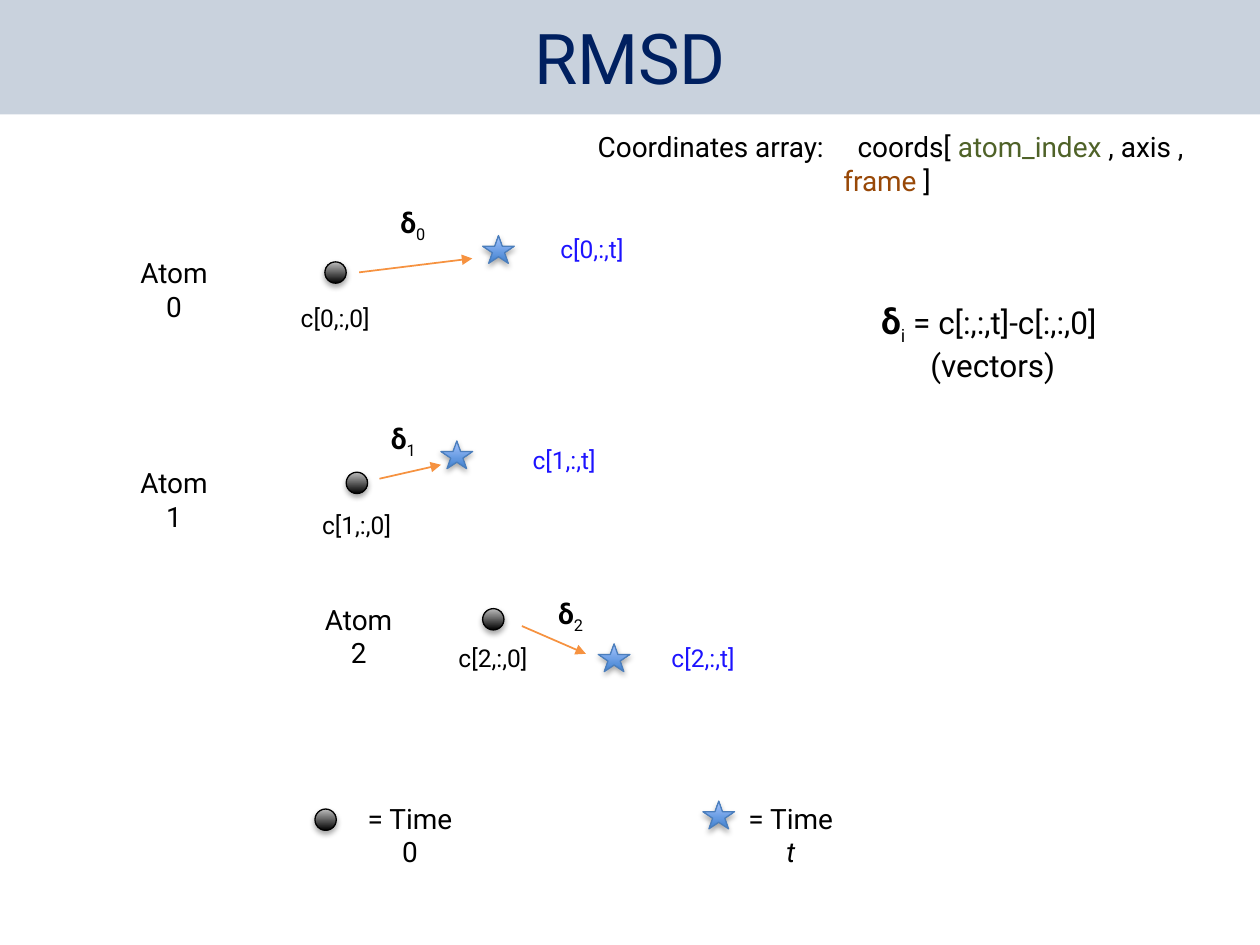
from dataclasses import dataclass
from typing import NamedTuple

from pptx import Presentation
from pptx import util as u
from pptx.dml.color import RGBColor
from pptx.enum import shapes, text
from pptx.oxml import parse_xml
from pptx.oxml.ns import nsdecls, qn

BLACK, BLUE, NAVY, ORANGE = "000000", "1D13FF", "002060", "F69240"
LABEL_HEIGHT = 0.94
SMALL_HEIGHT = 0.86


class Point(NamedTuple):
    x: float
    y: float


class Marker(NamedTuple):
    preset: shapes.MSO_SHAPE
    width: float
    height: float
    bottom: str
    top: str
    line: str


class Span(NamedTuple):
    words: str
    size: float = 16
    color: str = BLACK
    bold: bool = False
    italic: bool = False
    subscript: bool = False


@dataclass
class Atom:
    """Positions in centimetres of everything drawn for one atom."""
    name: Point
    ball: Point
    start_label_top: float
    star: Point
    end_label: Point
    arrow_start: Point
    arrow_end: Point
    delta: Point


BALL = Marker(shapes.MSO_SHAPE.OVAL, 0.43, 0.43, "000000", "BDBDBD", "000000")
STAR = Marker(shapes.MSO_SHAPE.STAR_5_POINT, 0.64, 0.56, "3F80CE", "A4C4FF", "4B7EBC")

ATOMS = [
    Atom(Point(2.42, 5.03), Point(6.55, 5.28), 5.99, Point(9.73, 4.75),
         Point(11.02, 4.6), Point(7.24, 5.49), Point(9.52, 5.21), Point(7.67, 4.01)),
    Atom(Point(2.42, 9.27), Point(6.98, 9.52), 10.16, Point(8.89, 8.89),
         Point(10.46, 8.84), Point(7.65, 9.65), Point(8.89, 9.37), Point(7.48, 8.38)),
    Atom(Point(6.14, 12.02), Point(9.73, 12.27), 12.83, Point(12.06, 12.98),
         Point(13.26, 12.83), Point(10.52, 12.62), Point(11.81, 13.18), Point(10.85, 11.91)),
]


def rgb(color: str) -> RGBColor:
    return RGBColor.from_string(color)


def add_spans(para, spans: list[Span]) -> None:
    para.alignment = text.PP_ALIGN.CENTER
    for item in spans:
        span = para.add_run()
        span.text = item.words
        formats = {"name": "Roboto", "size": u.Pt(item.size),
                   "bold": item.bold, "italic": item.italic}
        for key, value in formats.items():
            setattr(span.font, key, value)
        span.font.color.rgb = rgb(item.color)
        if item.subscript:
            span._r.get_or_add_rPr().set("baseline", "-25000")


def add_label(page, at: Point, width: float, height: float, spans: list[Span]):
    box = page.shapes.add_textbox(u.Cm(at.x), u.Cm(at.y), u.Cm(width), u.Cm(height))
    box.text_frame.word_wrap = False
    box.text_frame.auto_size = text.MSO_AUTO_SIZE.SHAPE_TO_FIT_TEXT
    add_spans(box.text_frame.paragraphs[0], spans)
    return box


def add_marker(page, marker: Marker, at: Point) -> None:
    shape = page.shapes.add_shape(marker.preset, u.Cm(at.x), u.Cm(at.y),
                                  u.Cm(marker.width), u.Cm(marker.height))
    shape.fill.gradient()
    shape.fill.gradient_angle = 90
    for stop, color in zip(shape.fill.gradient_stops, (marker.bottom, marker.top)):
        stop.color.rgb = rgb(color)
    shape.line.color.rgb = rgb(marker.line)
    shape.line.width = u.Pt(0.75)
    shape.shadow.inherit = False
    shape._element.spPr.find(qn("a:effectLst")).append(parse_xml(
        f'<a:outerShdw {nsdecls("a")} blurRad="40000" dist="23000" dir="5400000" '
        'rotWithShape="0"><a:srgbClr val="000000"><a:alpha val="35000"/>'
        '</a:srgbClr></a:outerShdw>'))


def add_arrow(page, start: Point, end: Point) -> None:
    arrow = page.shapes.add_connector(shapes.MSO_CONNECTOR.STRAIGHT,
                                      *(u.Cm(value) for value in (*start, *end)))
    arrow.line.color.rgb = rgb(ORANGE)
    arrow.line.width = u.Pt(1)
    arrow.line._get_or_add_ln().append(
        parse_xml(f'<a:tailEnd {nsdecls("a")} type="triangle"/>'))
    arrow._element.spPr.append(parse_xml(f'<a:effectLst {nsdecls("a")}/>'))


def add_atom(page, index: int, atom: Atom) -> None:
    add_label(page, atom.name, 2.18, LABEL_HEIGHT, [Span(f"Atom {index}")])
    add_marker(page, BALL, atom.ball)
    add_label(page, Point(atom.ball.x - 0.74, atom.start_label_top), 1.9, SMALL_HEIGHT,
              [Span(f"c[{index},:,0]", 14)])
    add_marker(page, STAR, atom.star)
    add_label(page, atom.end_label, 1.83, SMALL_HEIGHT,
              [Span(f"c[{index},:,t]", 14, BLUE)])
    add_arrow(page, atom.arrow_start, atom.arrow_end)
    add_label(page, atom.delta, 1.3, LABEL_HEIGHT,
              [Span("δ", bold=True), Span(str(index), subscript=True)])


def add_legend(page) -> None:
    add_marker(page, BALL, Point(6.35, 16.31))
    add_label(page, Point(6.98, 16.03), 2.57, LABEL_HEIGHT, [Span("= Time 0")])
    add_marker(page, STAR, Point(14.17, 16.15))
    add_label(page, Point(14.72, 16.03), 2.44, LABEL_HEIGHT,
              [Span("= Time "), Span("t", italic=True)])


def add_formula(page) -> None:
    box = add_label(page, Point(17.46, 5.92), 5.11, 1.88,
                    [Span("δ", 20, bold=True), Span("i", 18, subscript=True),
                     Span(" = c[:,:,t]-c[:,:,0] ", 18)])
    para = box.text_frame.paragraphs[0]
    para.add_line_break()
    add_spans(para, [Span("(vectors)", 18)])


def add_array_note(page) -> None:
    box = add_label(page, Point(11.81, 2.49), 13.74, LABEL_HEIGHT, [])
    frame = box.text_frame
    for key, value in {"word_wrap": True, "margin_left": 0,
                       "margin_right": u.Cm(1.45)}.items():
        setattr(frame, key, value)
    para = frame.paragraphs[0]
    para._p.get_or_add_pPr().append(parse_xml(
        f'<a:tabLst {nsdecls("a")}><a:tab pos="{u.Cm(5.24)}" algn="l"/></a:tabLst>'))
    add_spans(para, [Span("Coordinates array:\tcoords[ "),
                     Span("atom_index", color="4F6228"), Span(" , axis , "),
                     Span("frame", color="984807"), Span(" ] ")])


def add_title(page) -> None:
    bar = page.shapes.add_shape(shapes.MSO_SHAPE.RECTANGLE, 0, u.Cm(-0.03),
                                u.Cm(25.4), u.Cm(2.34))
    bar.shadow.inherit = False
    bar.line.fill.background()
    bar.fill.solid()
    bar.fill.fore_color.rgb = rgb("002F5F")
    bar._element.spPr.find(qn("a:solidFill"))[0].append(
        parse_xml(f'<a:alpha {nsdecls("a")} val="21000"/>'))
    bar.text_frame.word_wrap = False
    bar.text_frame.vertical_anchor = text.MSO_ANCHOR.MIDDLE
    add_spans(bar.text_frame.paragraphs[0], [Span("RMSD", 40, NAVY)])


def main() -> None:
    deck = Presentation()
    deck.slide_width, deck.slide_height = u.Cm(25.4), u.Cm(19.05)
    page = deck.slides.add_slide(deck.slide_layouts[6])
    for index, atom in enumerate(ATOMS):
        add_atom(page, index, atom)
    add_legend(page)
    add_formula(page)
    add_array_note(page)
    add_title(page)
    deck.save("out.pptx")


if __name__ == "__main__":
    main()
